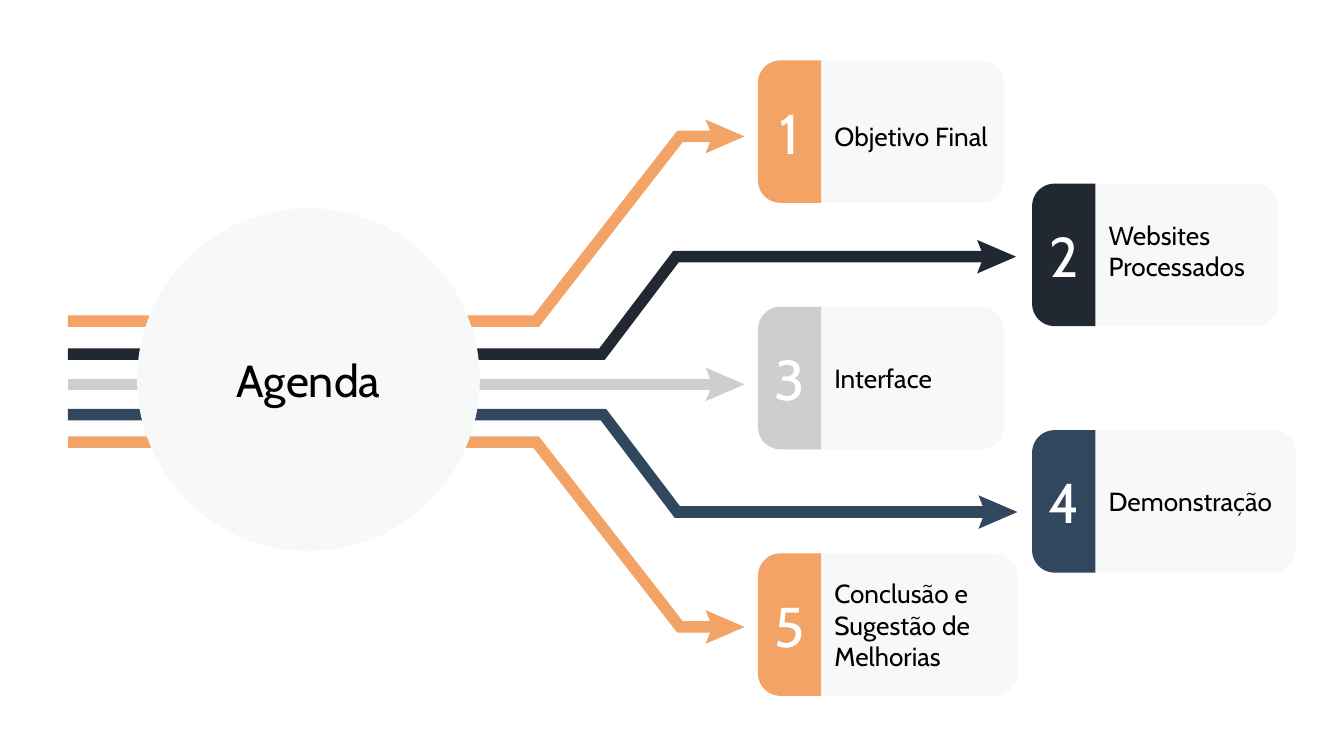
from math import cos, pi, sin

from pptx import Presentation
from pptx.dml.color import RGBColor
from pptx.enum.shapes import MSO_SHAPE
from pptx.enum.text import MSO_ANCHOR, MSO_AUTO_SIZE, PP_ALIGN
from pptx.util import Inches, Pt

CELL = 0.1  # grid of 100 columns by 56.25 rows, in inches
COLORS = {
    "panel": "F7F9F9", "orange": "F2A365", "dark": "222831",
    "gray": "CECECE", "blue": "30475E", "black": "000000", "white": "FFFFFF",
}
CARD_TOP, CARD_PITCH, CARD_H, RADIUS = 4.5, 9.17, 10.6, 1.67
TAB_W, LABEL_H = 4.7, 3.9
BAND_HALF, BAND_LEAN, BAND_LEFT = 0.43, 0.2, 5.05
HEAD_LEN, HEAD_HALF, HEAD_NOTCH = 2.9, 1.25, 0.5

# label, color, card left, card width, label width, label shift
CARDS = [
    ("Objetivo Final", "orange", 56.4, 18.3, 13.6, 0.35),
    ("Websites Processados", "dark", 76.8, 18.3, 13.6, -0.35),
    ("Interface", "gray", 56.4, 18.3, 13.6, 0),
    ("Demonstração", "blue", 76.8, 19.6, 15.4, 0),
    ("Conclusão e Sugestão de Melhorias", "orange", 56.4, 19.3, 15.7, 0),
]
# color, centre line of the band, left of the arrowhead
ARROWS = [
    ("gray", [(BAND_LEFT, 28.6)], 52.5),
    ("orange", [(BAND_LEFT, 23.9), (39.9, 23.9), (50.6, 10.15)], 52.5),
    ("dark", [(BAND_LEFT, 26.35), (44.8, 26.35), (50.3, 19.1)], 72.7),
    ("blue", [(BAND_LEFT, 30.85), (44.9, 30.85), (50.4, 38.1)], 72.8),
    ("orange", [(BAND_LEFT, 32.9), (39.9, 32.9), (50.6, 46.65)], 52.5),
]


def grid(cells):
    return Inches(cells * CELL)


def rgb(name):
    return RGBColor.from_string(COLORS[name])


def set_text(sp, text, size=14, color="black", align=PP_ALIGN.LEFT):
    tf = sp.text_frame
    tf.word_wrap = True
    tf.auto_size = MSO_AUTO_SIZE.NONE
    tf.vertical_anchor = MSO_ANCHOR.MIDDLE
    tf.margin_left = tf.margin_right = tf.margin_top = tf.margin_bottom = Inches(0.1)
    p = tf.paragraphs[0]
    p.alignment = align
    r = p.add_run()
    r.text = text
    r.font.name = "Cabin"
    r.font.size = Pt(size)
    r.font.color.rgb = rgb(color)


class Deck:
    def __init__(self, prs):
        self.s = prs.slides.add_slide(prs.slide_layouts[5])

    def paint(self, sp, color):
        sp.shadow.inherit = False
        sp.fill.solid()
        sp.fill.fore_color.rgb = rgb(color)
        sp.line.fill.background()
        return sp

    def shape(self, kind, box, color):
        return self.paint(self.s.shapes.add_shape(kind, *map(grid, box)), color)

    def outline(self, points, color):
        first, *rest = [(grid(x), grid(y)) for x, y in points]
        builder = self.s.shapes.build_freeform(*first, scale=1.0)
        builder.add_line_segments(rest, close=True)
        return self.paint(builder.convert_to_shape(), color)

    def title(self, text, box):
        sp = self.s.shapes.title
        sp.left, sp.top, sp.width, sp.height = map(grid, box)
        set_text(sp, text, size=24, align=PP_ALIGN.CENTER)
        sp.element.getparent().append(sp.element)  # in front of the circle

    def arrow(self, color, line, head):
        # Band: the centre line offset to both sides, leaning at the bends
        end_y = line[-1][1]
        rise = line[0][1] - end_y
        lean = BAND_LEAN * ((rise > 0) - (rise < 0))
        tail = (head + 0.95, end_y)
        upper = [(x - lean * (i > 0), y - BAND_HALF) for i, (x, y) in enumerate(line)]
        lower = [(x + lean * (i > 0), y + BAND_HALF) for i, (x, y) in enumerate(line)]
        upper.append((tail[0], end_y - BAND_HALF))
        lower.append((tail[0], end_y + BAND_HALF))
        self.outline(upper + lower[::-1], color)
        # Head
        self.outline([(head, end_y - HEAD_HALF), (head + HEAD_LEN, end_y),
                      (head, end_y + HEAD_HALF), (head + HEAD_NOTCH, end_y)], color)

    def tab(self, left, top, color, number):
        # Rounded on the left side only
        steps = 12
        points = [(left + TAB_W, top + CARD_H), (left + TAB_W, top)]
        for centre_y, start in ((top + RADIUS, pi / 2), (top + CARD_H - RADIUS, pi)):
            for i in range(steps + 1):
                angle = start + i * pi / 2 / steps
                points.append((left + RADIUS + RADIUS * cos(angle),
                               centre_y - RADIUS * sin(angle)))
        sp = self.outline(points, color)
        set_text(sp, str(number), size=30, color="white", align=PP_ALIGN.CENTER)

    def card(self, number, label, color, left, width, label_width, shift):
        top = CARD_TOP + (number - 1) * CARD_PITCH
        panel = self.shape(MSO_SHAPE.ROUNDED_RECTANGLE,
                           (left, top, width, CARD_H), "panel")
        panel.adjustments[0] = RADIUS / CARD_H
        self.tab(left, top, color, number)
        label_top = top + (CARD_H - LABEL_H) / 2 + shift
        box = (left + TAB_W, label_top, label_width, LABEL_H)
        set_text(self.s.shapes.add_textbox(*map(grid, box)), label)


def main():
    prs = Presentation()
    prs.slide_width, prs.slide_height = grid(100), grid(56.25)
    deck = Deck(prs)

    # Arrows
    for arrow in ARROWS:
        deck.arrow(*arrow)

    # Hub
    hub = (10.2, 15.5, 25.5, 25.5)
    deck.shape(MSO_SHAPE.OVAL, hub, "panel")
    deck.title("Agenda", hub)

    # Agenda items
    for number, card in enumerate(CARDS, 1):
        deck.card(number, *card)

    prs.save("out.pptx")


if __name__ == "__main__":
    main()
